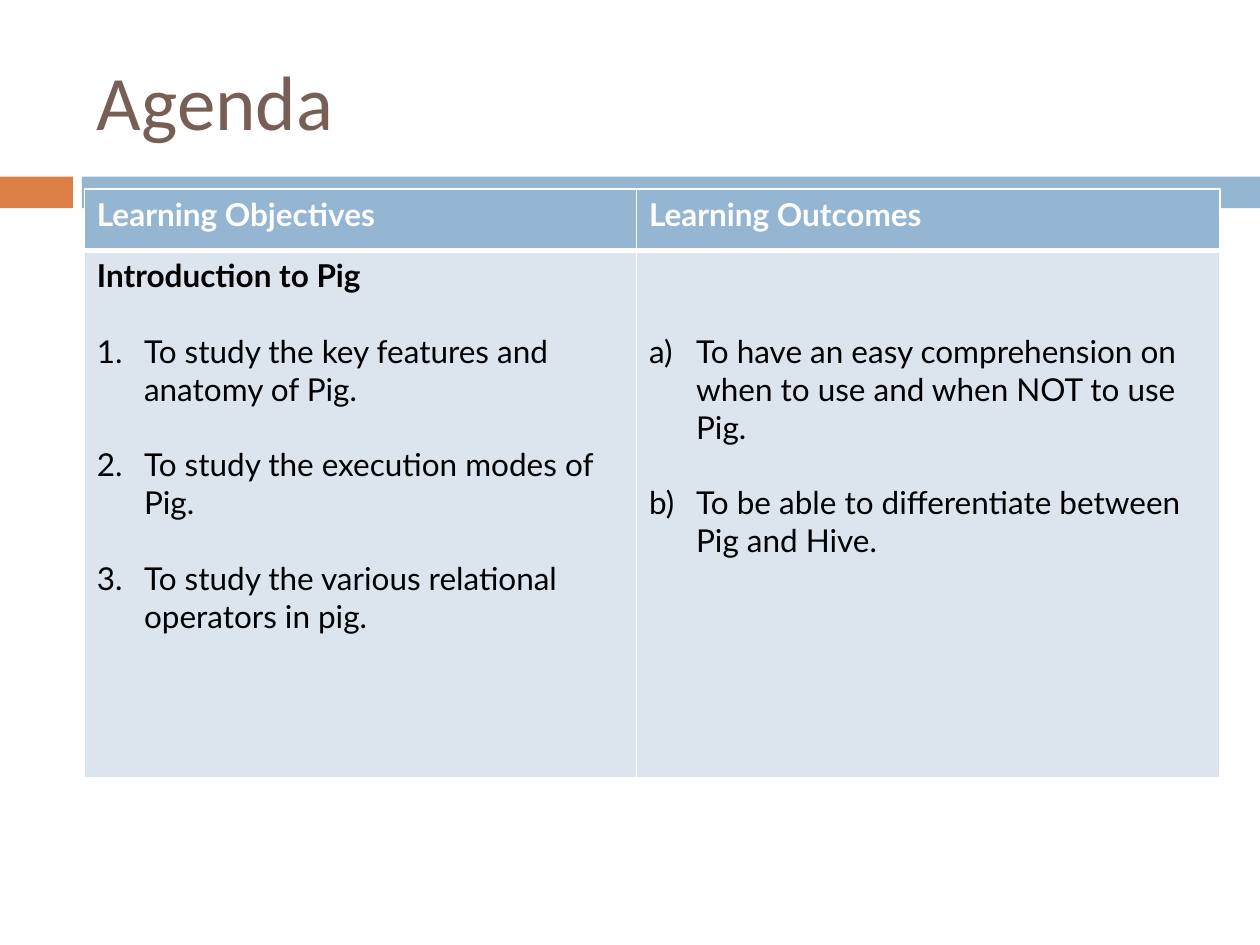
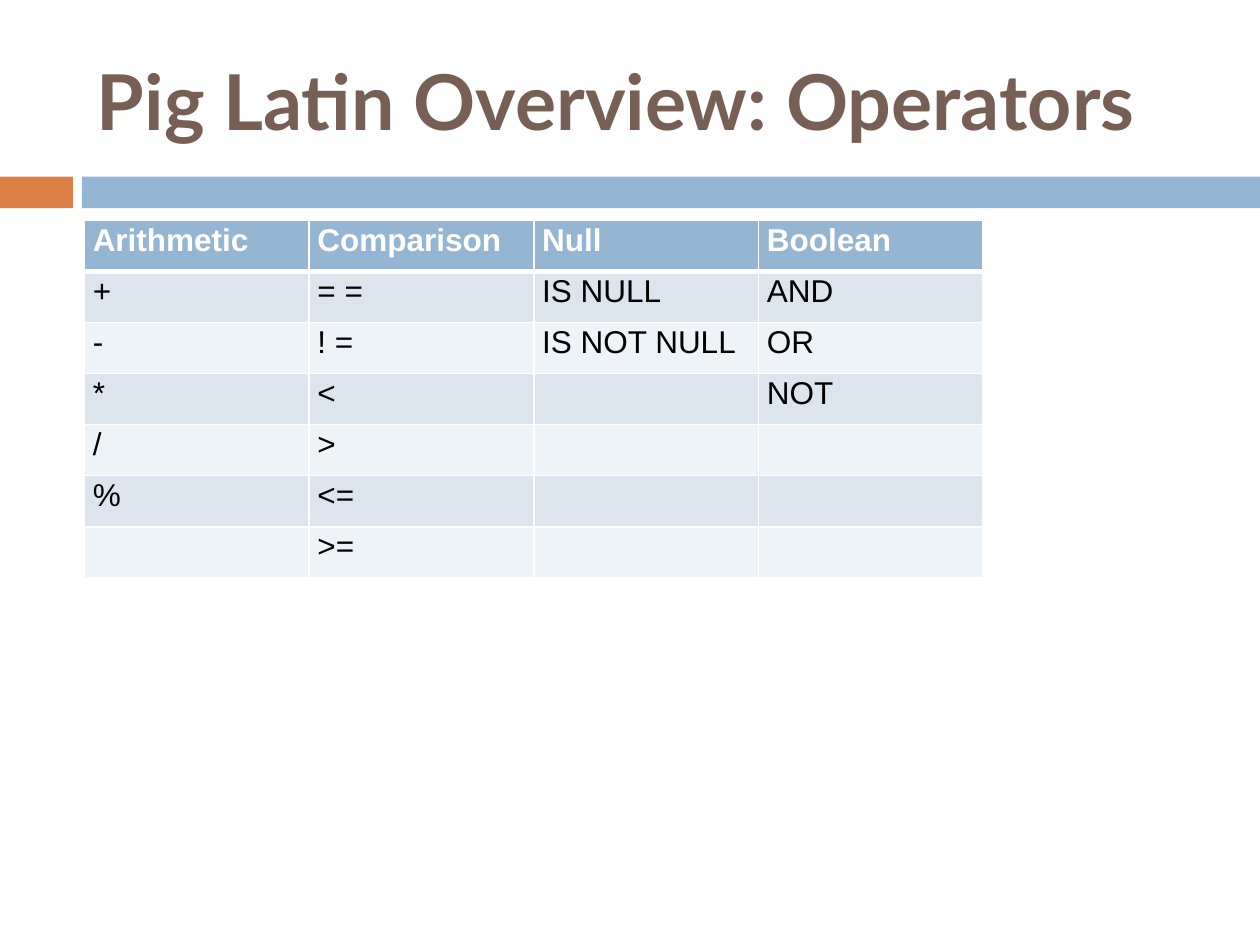
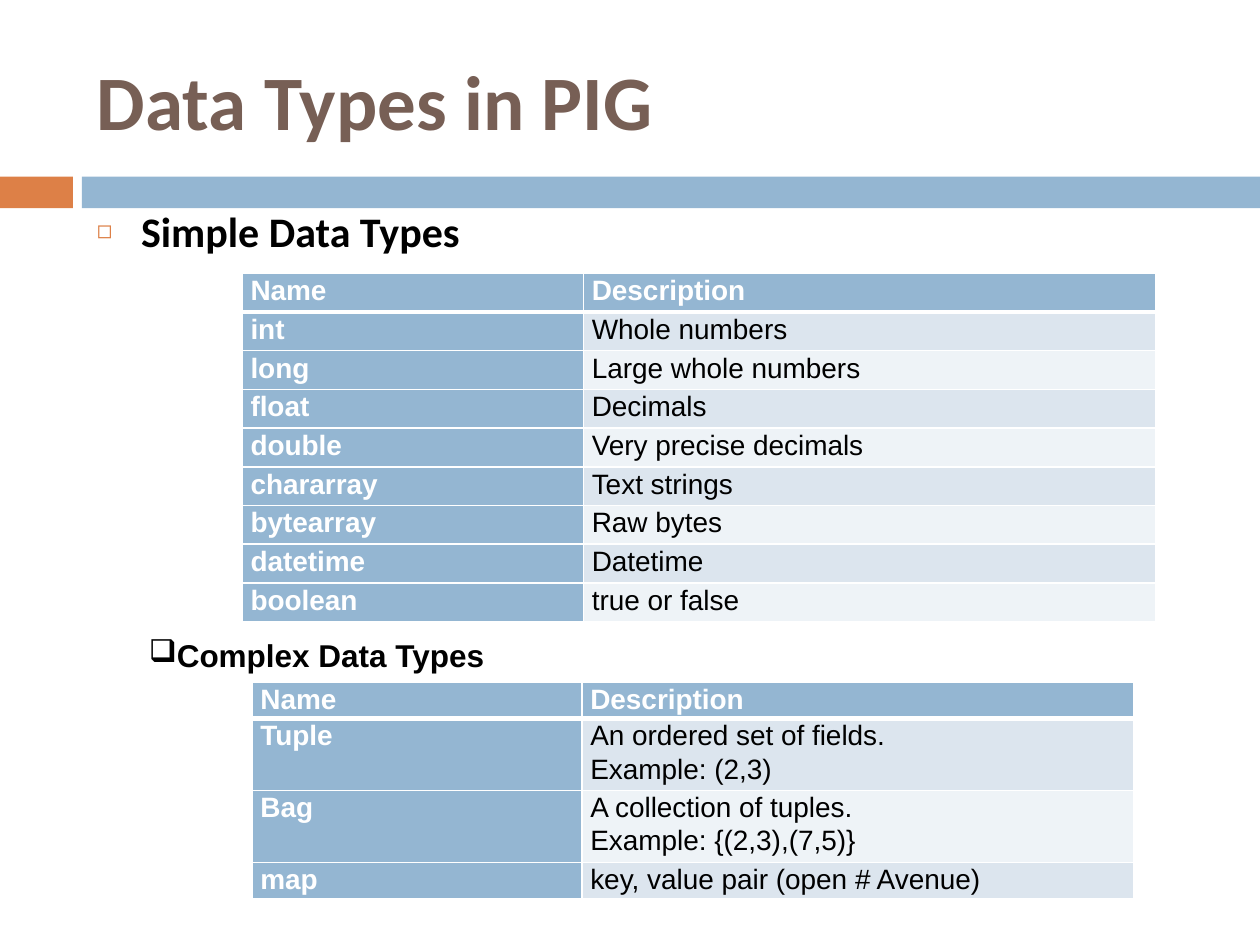
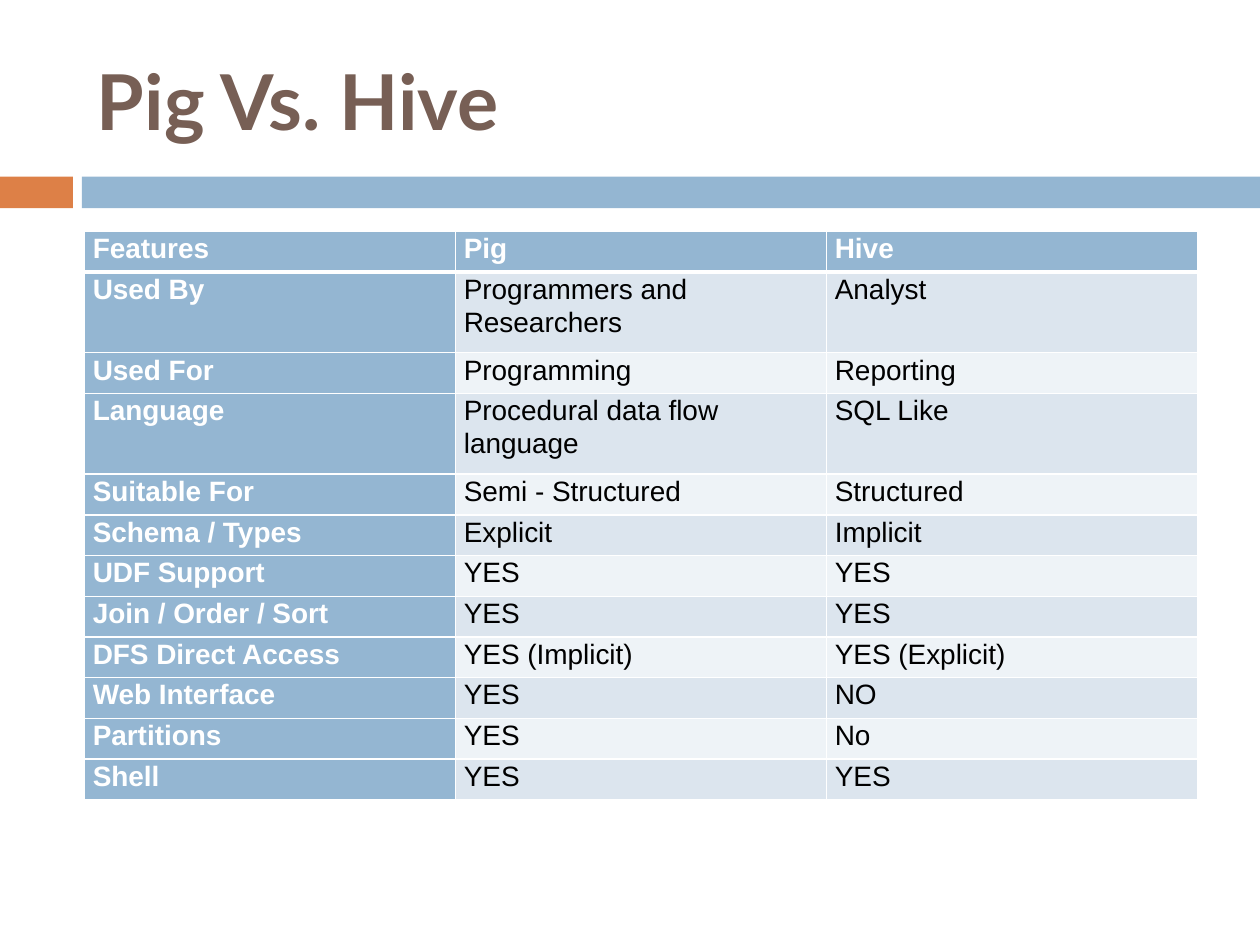
"""Builds four slides on Pig: agenda, operators, data types and a comparison with Hive."""
from lxml import etree
from pptx import Presentation
from pptx.dml.color import RGBColor
from pptx.enum.shapes import MSO_SHAPE
from pptx.enum.text import MSO_ANCHOR, MSO_AUTO_SIZE, PP_ALIGN
from pptx.oxml.ns import qn
from pptx.util import Cm, Pt

RECTANGLE = MSO_SHAPE.RECTANGLE
MIDDLE, TOP = MSO_ANCHOR.MIDDLE, MSO_ANCHOR.TOP
NO_FIT, FIT_SHAPE = MSO_AUTO_SIZE.NONE, MSO_AUTO_SIZE.SHAPE_TO_FIT_TEXT
LEFT = PP_ALIGN.LEFT

BLUE = RGBColor(0x94, 0xB6, 0xD2)
ORANGE = RGBColor(0xDD, 0x80, 0x47)
BROWN = RGBColor(0x77, 0x5F, 0x55)
DARK_ROW = RGBColor(0xDC, 0xE5, 0xEE)
LIGHT_ROW = RGBColor(0xEE, 0xF3, 0xF7)
WHITE = RGBColor(255, 255, 255)
BLACK = RGBColor(0, 0, 0)

MARGIN = 1.7
TITLE_BOX = (MARGIN, 0.64, 22.66, 2.74)
BANDS = [((0, 3.56, 1.47, 0.64), ORANGE), ((1.65, 3.56, 23.75, 0.64), BLUE)]
HEADING_BOX = (MARGIN, 4.02, 22.66, 1.27)
SUBHEADING_BOX = (2.75, 12.7, 7.34, 1.02)
BLANK_LINE = Pt(21.6)
HANGING = Cm(0.95)
TIGHT_CELL = {"margin_left": Cm(0.17), "margin_right": Cm(0.17), "margin_top": 0, "margin_bottom": 0}

AGENDA_HEADER = ["Learning Objectives", "Learning Outcomes"]
AGENDA_TOPIC = "Introduction to Pig"
OBJECTIVES = [
    "To study the key features and anatomy of Pig.",
    "To study the execution modes of Pig.",
    "To study the various relational operators in pig.",
]
OUTCOMES = [
    "To have an easy comprehension on when to use and when NOT to use Pig.",
    "To be able to differentiate between Pig and Hive.",
]
OPERATORS = [
    ["Arithmetic", "Comparison", "Null", "Boolean"],
    ["+", "= =", "IS NULL", "AND"],
    ["-", "! =", "IS NOT NULL", "OR"],
    ["*", "<", "", "NOT"],
    ["/", ">", "", ""],
    ["%", "<=", "", ""],
    ["", ">=", "", ""],
]
SIMPLE_TYPES = [
    ["Name", "Description"],
    ["int", "Whole numbers"],
    ["long", "Large whole numbers"],
    ["float", "Decimals"],
    ["double", "Very precise decimals"],
    ["chararray", "Text strings"],
    ["bytearray", "Raw bytes"],
    ["datetime", "Datetime"],
    ["boolean", "true or false"],
]
COMPLEX_TYPES = [
    ["Name", "Description"],
    ["Tuple", "An ordered set of fields.\nExample: (2,3)"],
    ["Bag", "A collection of tuples.\nExample: {(2,3),(7,5)}"],
    ["map", "key, value pair (open # Avenue)"],
]
COMPARISON = [
    ["Features", "Pig", "Hive"],
    ["Used By", "Programmers and Researchers", "Analyst"],
    ["Used For", "Programming", "Reporting"],
    ["Language", "Procedural data flow language", "SQL Like"],
    ["Suitable For", "Semi - Structured", "Structured"],
    ["Schema / Types", "Explicit", "Implicit"],
    ["UDF Support", "YES", "YES"],
    ["Join / Order / Sort", "YES", "YES"],
    ["DFS Direct Access", "YES (Implicit)", "YES (Explicit)"],
    ["Web Interface", "YES", "NO"],
    ["Partitions", "YES", "No"],
    ["Shell", "YES", "YES"],
]


def apply(target, values):
    for name, value in values.items():
        setattr(target, name, value)


def place(shape, box):
    apply(shape, dict(zip(("left", "top", "width", "height"), map(Cm, box))))


def write(paragraph, text, font, size, color, bold=False):
    run = paragraph.add_run()
    run.text = text
    apply(run.font, {"name": font, "size": Pt(size), "bold": bold})
    run.font.color.rgb = color


def add_bullet(paragraph, tag, values, hanging=0, color=None, percent=None):
    properties = paragraph._p.get_or_add_pPr()
    properties.set("marL", str(int(hanging)))
    properties.set("indent", str(-int(hanging)))
    if color is not None:
        holder = etree.SubElement(properties, qn("a:buClr"))
        etree.SubElement(holder, qn("a:srgbClr"), val=str(color))
    if percent:
        etree.SubElement(properties, qn("a:buSzPct"), val=str(percent * 1000))
    etree.SubElement(properties, qn(tag), **values)


def set_borders(cell, bottom):
    properties = cell._tc.get_or_add_tcPr()
    for side, width in (("L", 1), ("R", 1), ("T", 1), ("B", bottom)):
        line = etree.SubElement(properties, qn("a:ln" + side), w=str(int(Pt(width))))
        fill = etree.SubElement(line, qn("a:solidFill"))
        etree.SubElement(fill, qn("a:srgbClr"), val=str(WHITE))


def add_grid(slide, left, top, widths, heights, header_column=False):
    frame = slide.shapes.add_table(
        len(heights), len(widths), Cm(left), Cm(top), Cm(sum(widths)), Cm(sum(heights)))
    table = frame.table
    for column, width in zip(table.columns, widths):
        column.width = Cm(width)
    for index, (row, height) in enumerate(zip(table.rows, heights)):
        row.height = Cm(height)
        for position, cell in enumerate(row.cells):
            set_borders(cell, 1 if index else 3)
            is_header = index == 0 or (header_column and position == 0)
            cell.fill.solid()
            cell.fill.fore_color.rgb = BLUE if is_header else DARK_ROW if index % 2 else LIGHT_ROW
    return table


def add_text_table(slide, rows, left, top, widths, heights, size, header_column=False):
    table = add_grid(slide, left, top, widths, heights, header_column)
    for index, texts in enumerate(rows):
        for position, text in enumerate(texts):
            cell = table.cell(index, position)
            apply(cell, TIGHT_CELL)
            is_header = index == 0 or (header_column and position == 0)
            for number, line in enumerate(text.split("\n") if text else []):
                frame = cell.text_frame
                paragraph = frame.add_paragraph() if number else frame.paragraphs[0]
                paragraph.line_spacing = 1.07
                write(paragraph, line, "Arial", size, WHITE if is_header else BLACK, is_header)


def add_numbered(frame, items, scheme):
    for item in items:
        first = frame.paragraphs[0]
        paragraph = frame.add_paragraph() if first.runs else first
        if paragraph._p is not first._p:
            paragraph.space_before = BLANK_LINE
        add_bullet(paragraph, "a:buAutoNum", {"type": scheme}, HANGING)
        write(paragraph, item, "Lato", 18, BLACK)


def add_slide(presentation, title, font, bold=True, layout=5):
    slide = presentation.slides.add_slide(presentation.slide_layouts[layout])
    shape = slide.shapes.title
    place(shape, TITLE_BOX)
    apply(shape.text_frame, {"vertical_anchor": MIDDLE, "auto_size": NO_FIT, "word_wrap": True})
    paragraph = shape.text_frame.paragraphs[0]
    paragraph.alignment = LEFT
    write(paragraph, title, font, 44, BROWN, bold)
    return slide


def add_master_bands(presentation, slide):
    tree = presentation.slide_master.shapes.element
    for number, (box, color) in enumerate(BANDS):
        band = slide.shapes.add_shape(RECTANGLE, *map(Cm, box))
        apply(band, {"name": f"Band {number + 1}"})
        band.shadow.inherit = False
        band.fill.solid()
        band.fill.fore_color.rgb = color
        band.line.fill.background()
        band.element.nvSpPr.cNvPr.set("id", str(20 + number))
        tree.insert(2 + number, band.element)


def build_agenda(presentation):
    slide = add_slide(presentation, "Agenda", "Calibri", bold=False)
    add_master_bands(presentation, slide)
    table = add_grid(slide, MARGIN, 3.81, [11.13, 11.76], [1.24, 10.62])
    for position, text in enumerate(AGENDA_HEADER):
        write(table.cell(0, position).text_frame.paragraphs[0], text, "Lato", 18, WHITE, True)
    objectives, outcomes = table.cell(1, 0), table.cell(1, 1)
    write(objectives.text_frame.paragraphs[0], AGENDA_TOPIC, "Lato", 18, BLACK, True)
    add_numbered(objectives.text_frame, OBJECTIVES, "arabicPeriod")
    outcomes.margin_top = Cm(0.13) + 2 * BLANK_LINE
    add_numbered(outcomes.text_frame, OUTCOMES, "alphaLcParenR")


def build_operators(presentation):
    slide = add_slide(presentation, "Pig Latin Overview: Operators", "Lato")
    add_text_table(slide, OPERATORS, MARGIN, 4.44, [4.53] * 4, [1.03] * len(OPERATORS), 18)


def build_data_types(presentation):
    slide = add_slide(presentation, "Data Types in PIG", "Calibri", layout=1)
    heading = slide.placeholders[1]
    place(heading, HEADING_BOX)
    apply(heading.text_frame, {"vertical_anchor": TOP, "auto_size": NO_FIT, "word_wrap": True})
    paragraph = heading.text_frame.paragraphs[0]
    paragraph.space_before = Pt(7)
    add_bullet(paragraph, "a:buChar", {"char": "◻"}, Cm(0.89), ORANGE, 60)
    write(paragraph, "Simple Data Types", "Calibri", 24, BLACK, True)
    add_text_table(slide, SIMPLE_TYPES, 4.88, 5.51, [6.88, 11.53],
                   [0.78] * len(SIMPLE_TYPES), 16, True)

    subheading = slide.shapes.add_textbox(*map(Cm, SUBHEADING_BOX))
    apply(subheading.text_frame, {"word_wrap": False, "auto_size": FIT_SHAPE})
    paragraph = subheading.text_frame.paragraphs[0]
    add_bullet(paragraph, "a:buChar", {"char": "❑"})
    write(paragraph, "Complex Data Types", "Arial", 18, BLACK, True)
    heights = [0.71 * (row[1].count("\n") + 1) for row in COMPLEX_TYPES]
    add_text_table(slide, COMPLEX_TYPES, 5.08, 13.76, [6.65, 11.13], heights, 16, True)


def build_comparison(presentation):
    slide = add_slide(presentation, "Pig Vs. Hive", "Lato")
    heights = [1.63 if len(row[1]) > 20 else 0.82 for row in COMPARISON]
    add_text_table(slide, COMPARISON, MARGIN, 4.66, [7.48] * 3, heights, 16, True)


def main():
    presentation = Presentation()
    apply(presentation, {"slide_width": Cm(25.4), "slide_height": Cm(19.05)})
    for build in (build_agenda, build_operators, build_data_types, build_comparison):
        build(presentation)
    presentation.save("out.pptx")


main()
